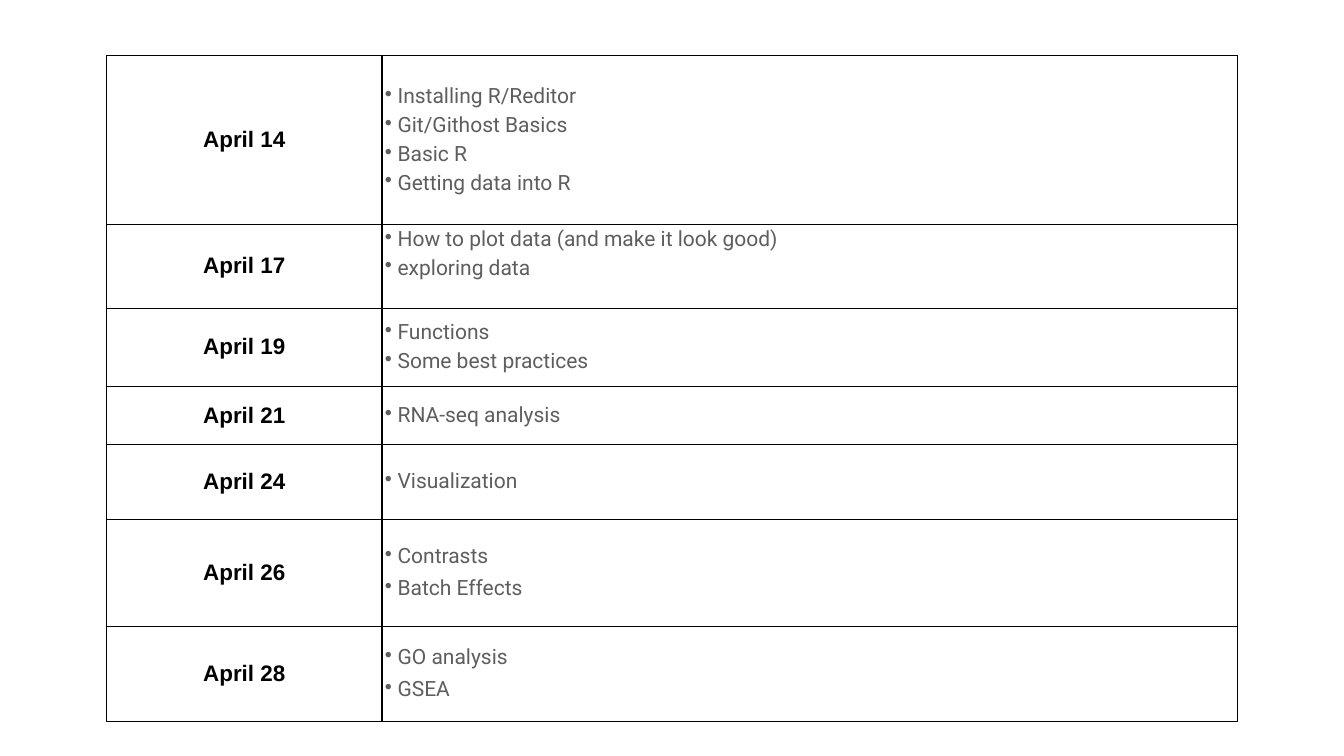
from dataclasses import dataclass

from lxml.etree import SubElement
from pptx import Presentation
from pptx.dml.color import RGBColor
from pptx.enum.text import MSO_ANCHOR, PP_ALIGN
from pptx.oxml.ns import qn
from pptx.util import Pt


@dataclass(frozen=True)
class Theme:
    border: str = "000000"
    thin: float = 1
    divider: float = 3
    inset: float = 4
    bullet_indent: float = 18


THEME = Theme()
DATE_FONT = {"name": "Arial", "size": Pt(32), "bold": True}
DATE_COLOR = RGBColor.from_string("000000")
TOPIC_FONT = {"name": "Roboto", "size": Pt(30), "bold": False}
TOPIC_COLOR = RGBColor.from_string("5E5E5E")

COLUMN_WIDTHS = (394, 1222)
# Date, row height, space between topics, extra room below the topics, topics
SCHEDULE = (
    ("April 14", 241, 6, 0,
     ("Installing R/Reditor", "Git/Githost Basics", "Basic R", "Getting data into R")),
    ("April 17", 120, 6, 36,
     ("How to plot data (and make it look good)", "exploring data")),
    ("April 19", 111, 6, 0, ("Functions", "Some best practices")),
    ("April 21", 84, 10, 0, ("RNA-seq analysis",)),
    ("April 24", 106, 10, 0, ("Visualization",)),
    ("April 26", 153, 10, 0, ("Contrasts", "Batch Effects")),
    ("April 28", 136, 10, 0, ("GO analysis", "GSEA")),
)


def add_text(paragraph, text, font_format, color):
    run = paragraph.add_run()
    run.text = text
    for name, value in font_format.items():
        setattr(run.font, name, value)
    run.font.color.rgb = color


def add_bullet(paragraph):
    properties = paragraph._p.get_or_add_pPr()
    indent = Pt(THEME.bullet_indent)
    properties.set("marL", str(indent))
    properties.set("indent", str(-indent))
    SubElement(properties, qn("a:buChar"), char="•")


def set_borders(cell, **widths):
    """Draw all four cell borders; widths overrides the thin line by side letter."""
    properties = cell._tc.get_or_add_tcPr()
    for side in "LRTB":
        width = Pt(widths.get(side, THEME.thin))
        line = SubElement(properties, qn(f"a:ln{side}"), w=str(width))
        fill = SubElement(line, qn("a:solidFill"))
        SubElement(fill, qn("a:srgbClr"), val=THEME.border)


def format_cell(cell, extra_bottom=0, **border_widths):
    set_borders(cell, **border_widths)
    cell.fill.background()
    cell.vertical_anchor = MSO_ANCHOR.MIDDLE
    for side in ("left", "right", "top", "bottom"):
        setattr(cell, f"margin_{side}", Pt(THEME.inset))
    cell.margin_bottom = Pt(THEME.inset + extra_bottom)


def fill_date(cell, date):
    format_cell(cell, R=THEME.divider)
    paragraph = cell.text_frame.paragraphs[0]
    paragraph.alignment = PP_ALIGN.CENTER
    add_text(paragraph, date, DATE_FONT, DATE_COLOR)


def fill_topics(cell, topics, gap, extra_bottom):
    format_cell(cell, extra_bottom, L=THEME.divider)
    frame = cell.text_frame
    for index, topic in enumerate(topics):
        paragraph = frame.add_paragraph() if index else frame.paragraphs[0]
        add_bullet(paragraph)
        paragraph.space_before = Pt(gap if index else 0)
        add_text(paragraph, topic, TOPIC_FONT, TOPIC_COLOR)


def add_schedule(slide):
    height = sum(row[1] for row in SCHEDULE)
    table = slide.shapes.add_table(
        len(SCHEDULE), len(COLUMN_WIDTHS),
        Pt(152), Pt(79), Pt(sum(COLUMN_WIDTHS)), Pt(height),
    ).table
    table.first_row = False
    table.horz_banding = False
    for column, width in zip(table.columns, COLUMN_WIDTHS):
        column.width = Pt(width)
    for row, (date, row_height, gap, extra_bottom, topics) in zip(table.rows, SCHEDULE):
        row.height = Pt(row_height)
        date_cell, topics_cell = row.cells
        fill_date(date_cell, date)
        fill_topics(topics_cell, topics, gap, extra_bottom)


def main():
    presentation = Presentation()
    presentation.slide_width = Pt(1920)
    presentation.slide_height = Pt(1080)
    slide = presentation.slides.add_slide(presentation.slide_layouts[6])
    add_schedule(slide)
    presentation.save("out.pptx")


if __name__ == "__main__":
    main()
